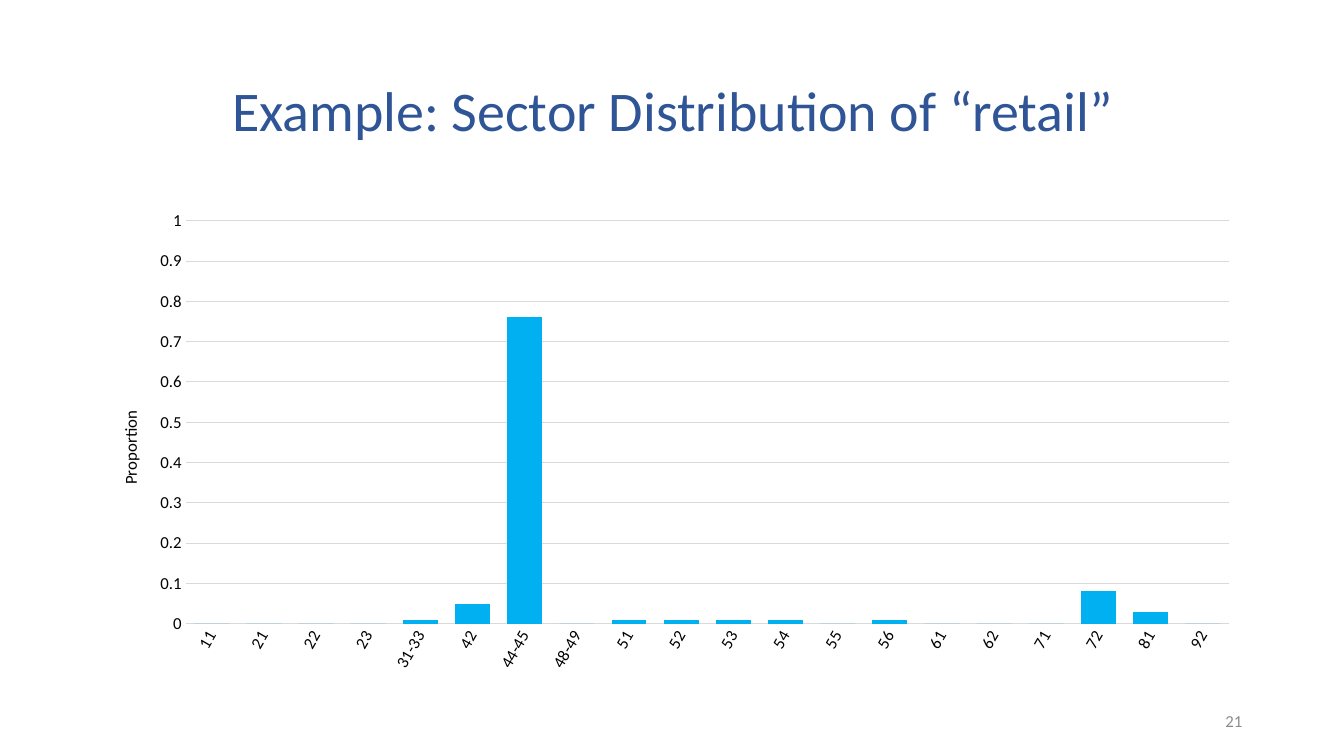
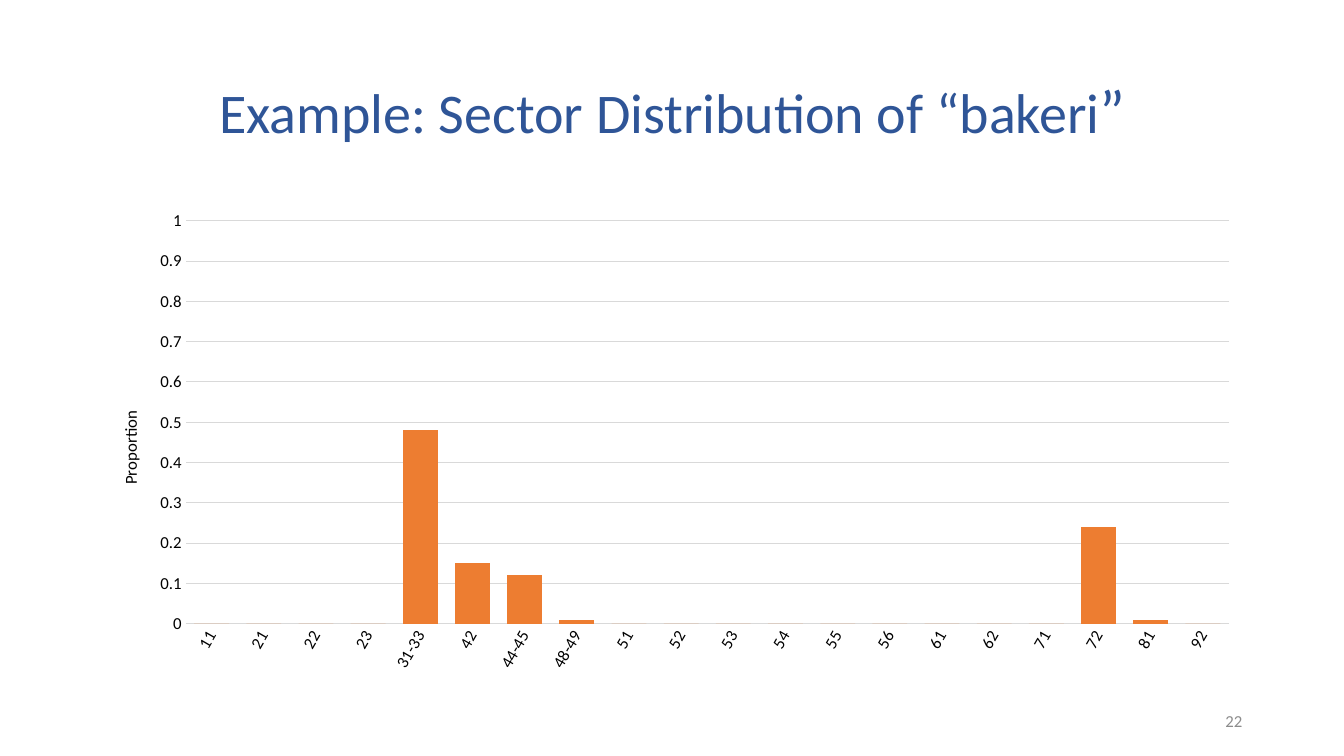
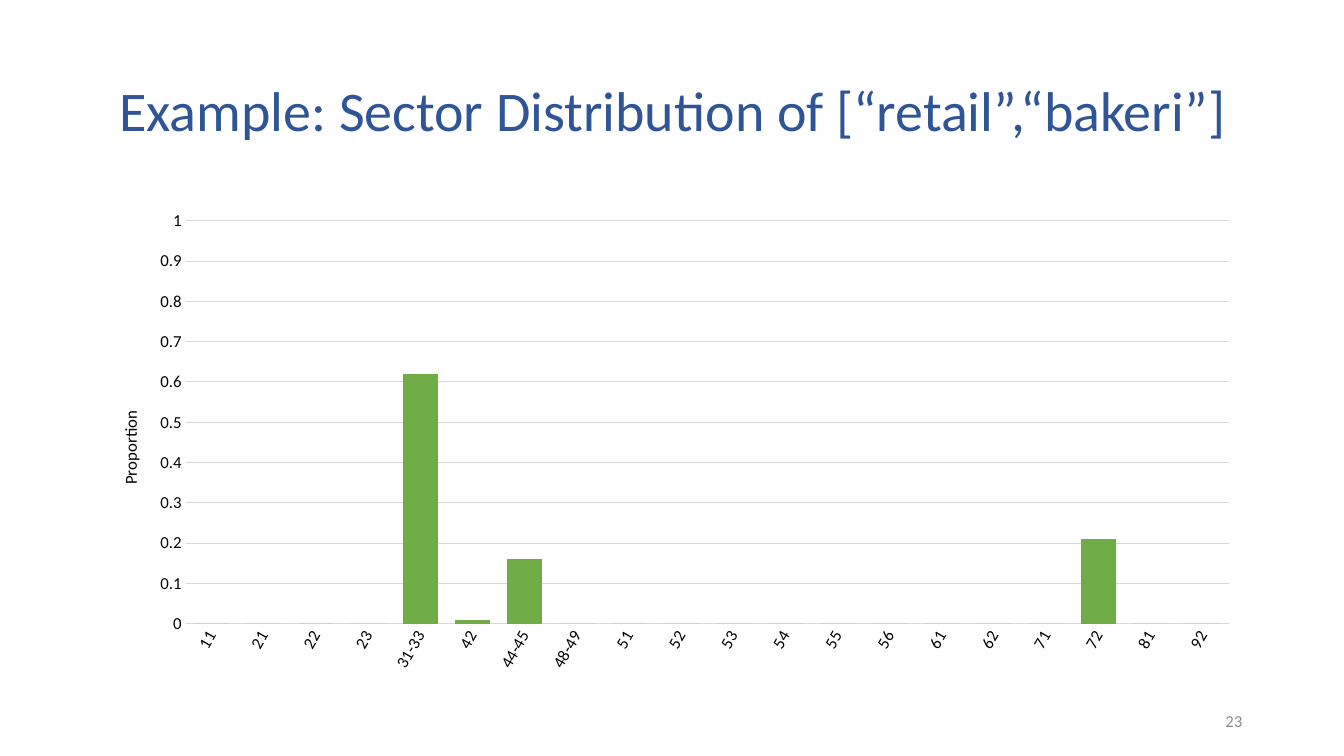
"""Build three slides that show sector distributions as column charts."""
import pptx
import pptx.chart.data
import pptx.dml.color
import pptx.enum.chart
import pptx.enum.text
import pptx.oxml
import pptx.oxml.ns
import pptx.util
from pptx.dml.color import RGBColor
from pptx.util import Inches

TITLE_BLUE = RGBColor(0x2F, 0x55, 0x97)
NUMBER_GREY = RGBColor(0x8C, 0x8C, 0x8C)
GRID_GREY = RGBColor(0xD9, 0xD9, 0xD9)
BLACK = RGBColor(0, 0, 0)
SKY = RGBColor(0x00, 0xB0, 0xF0)
ORANGE = RGBColor(0xED, 0x7D, 0x31)
GREEN = RGBColor(0x70, 0xAD, 0x47)

FONT = "Calibri"
LEFT, WIDTH = 0.92, 11.5
FIRST_NUMBER = 21
SECTORS = ["11", "21", "22", "23", "31-33", "42", "44-45", "48-49", "51", "52",
           "53", "54", "55", "56", "61", "62", "71", "72", "81", "92"]

SLIDES = [
    {"title": [("Example: Sector Distribution of “retail”", 40)],
     "color": SKY,
     "shares": {"31-33": 0.01, "42": 0.05, "44-45": 0.76, "51": 0.01, "52": 0.01,
                "53": 0.01, "54": 0.01, "56": 0.01, "72": 0.08, "81": 0.03}},
    {"title": [("Example: Sector Distribution of “bakeri", 40), ("”", 44)],
     "color": ORANGE,
     "shares": {"31-33": 0.48, "42": 0.15, "44-45": 0.12, "48-49": 0.01,
                "72": 0.24, "81": 0.01}},
    {"title": [("Example: Sector Distribution of [“retail”,“bakeri”]", 40)],
     "color": GREEN,
     "shares": {"31-33": 0.62, "42": 0.01, "44-45": 0.16, "72": 0.21}},
]


def style_font(font, size, color):
    font.name = FONT
    font.size = pptx.util.Pt(size)
    font.bold = False
    font.color.rgb = color


def style_line(line):
    line.color.rgb = GRID_GREY
    line.width = pptx.util.Pt(0.75)


def add_text(slide, box, runs, color, alignment, line_spacing=1.0):
    shape = slide.shapes.add_textbox(*map(Inches, box))
    shape.text_frame.word_wrap = True
    shape.text_frame.vertical_anchor = pptx.enum.text.MSO_ANCHOR.MIDDLE
    paragraph = shape.text_frame.paragraphs[0]
    paragraph.alignment = alignment
    paragraph.line_spacing = line_spacing
    for text, size in runs:
        run = paragraph.add_run()
        run.text = text
        style_font(run.font, size, color)


def set_layout(element, index, **fractions):
    """Place a chart part by fractions of the chart area."""
    namespace = pptx.oxml.ns.nsdecls("c")
    modes = '<c:layoutTarget val="inner"/>' if "w" in fractions else ""
    modes += '<c:xMode val="edge"/><c:yMode val="edge"/>'
    values = "".join(f'<c:{key} val="{value}"/>' for key, value in fractions.items())
    layout = pptx.oxml.parse_xml(
        f"<c:layout {namespace}><c:manualLayout>{modes}{values}</c:manualLayout></c:layout>")
    current = element.find(pptx.oxml.ns.qn("c:layout"))
    if current is None:
        element.insert(index, layout)
    else:
        element.replace(current, layout)


def rotate_text(element, degrees):
    body = next(element.iter(pptx.oxml.ns.qn("a:bodyPr")))
    body.set("rot", str(degrees * 60000))
    body.set("vert", "horz")


def add_distribution(slide, shares, color):
    data = pptx.chart.data.CategoryChartData()
    data.categories = SECTORS
    data.add_series("Series 1", [shares.get(sector, 0) for sector in SECTORS])
    chart = slide.shapes.add_chart(
        pptx.enum.chart.XL_CHART_TYPE.COLUMN_CLUSTERED,
        *map(Inches, (LEFT, 2, WIDTH, 4.76)), data).chart
    chart.has_title = False
    chart.has_legend = False
    style_font(chart.font, 10, BLACK)

    plot = chart.plots[0]
    plot.gap_width = 50
    plot.vary_by_categories = False
    fill = plot.series[0].format.fill
    fill.solid()
    fill.fore_color.rgb = color

    category_axis, value_axis = chart.category_axis, chart.value_axis
    for axis in (category_axis, value_axis):
        axis.major_tick_mark = pptx.enum.chart.XL_TICK_MARK.NONE
        axis.minor_tick_mark = pptx.enum.chart.XL_TICK_MARK.NONE
        style_font(axis.tick_labels.font, 12, BLACK)
    style_line(category_axis.format.line)
    rotate_text(category_axis._element, -60)

    value_axis.minimum_scale = 0
    value_axis.maximum_scale = 1
    value_axis.major_unit = 0.1
    value_axis.tick_labels.number_format = "General"
    value_axis.tick_labels.number_format_is_linked = False
    value_axis.format.line.fill.background()
    value_axis.has_major_gridlines = True
    style_line(value_axis.major_gridlines.format.line)

    title = value_axis.axis_title
    title.text_frame.text = "Proportion"
    style_font(title.text_frame.paragraphs[0].runs[0].font, 12, BLACK)
    rotate_text(title._element, -90)
    set_layout(title._element, 1, x=0.02, y=0.43)
    plot_area = chart._chartSpace.chart.plotArea
    set_layout(plot_area, 0, x=0.08, y=0.04, w=0.9, h=0.84)


def main():
    presentation = pptx.Presentation()
    presentation.slide_width = Inches(13.33)
    presentation.slide_height = Inches(7.5)
    alignments = pptx.enum.text.PP_ALIGN
    for number, content in enumerate(SLIDES, FIRST_NUMBER):
        slide = presentation.slides.add_slide(presentation.slide_layouts[6])
        add_text(slide, (LEFT, 0.4, WIDTH, 1.45), content["title"],
                 TITLE_BLUE, alignments.CENTER, 0.9)
        add_text(slide, (9.42, 6.95, 3, 0.4), [(str(number), 12)],
                 NUMBER_GREY, alignments.RIGHT)
        add_distribution(slide, content["shares"], content["color"])
    presentation.save("out.pptx")


if __name__ == "__main__":
    main()
